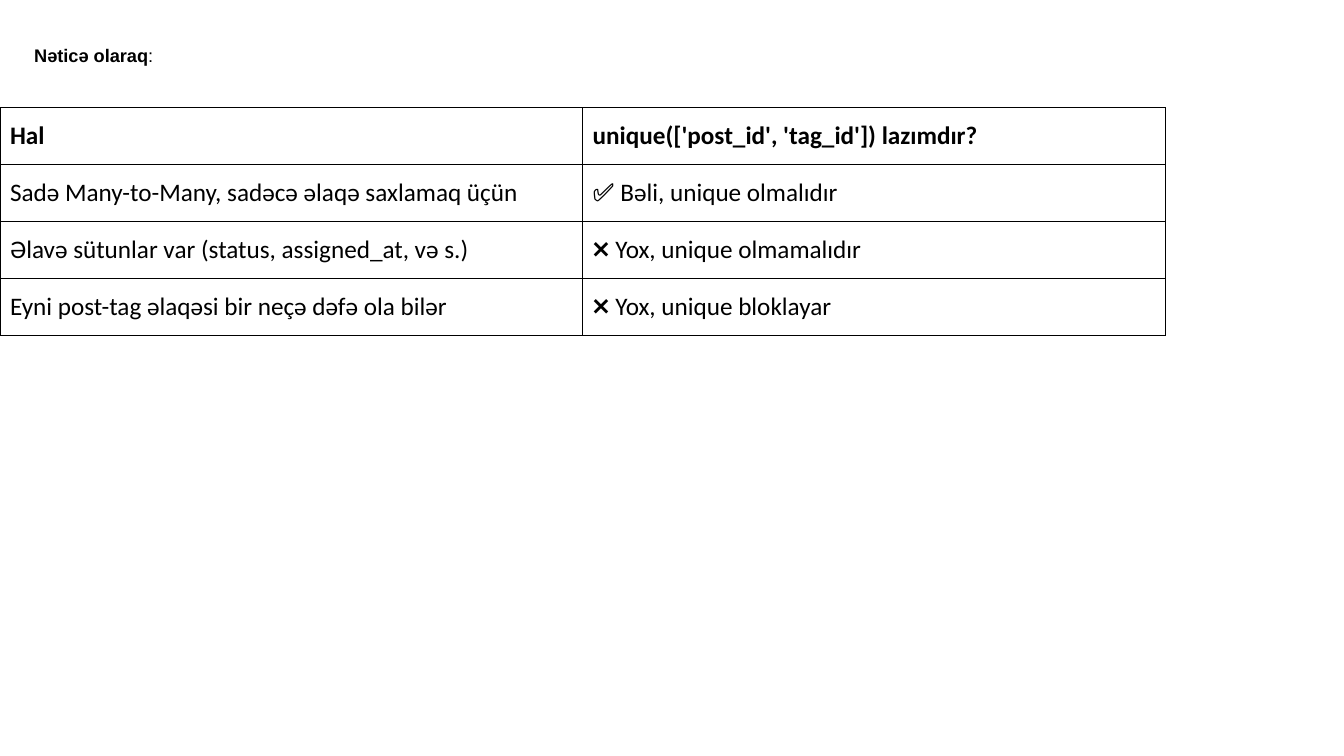
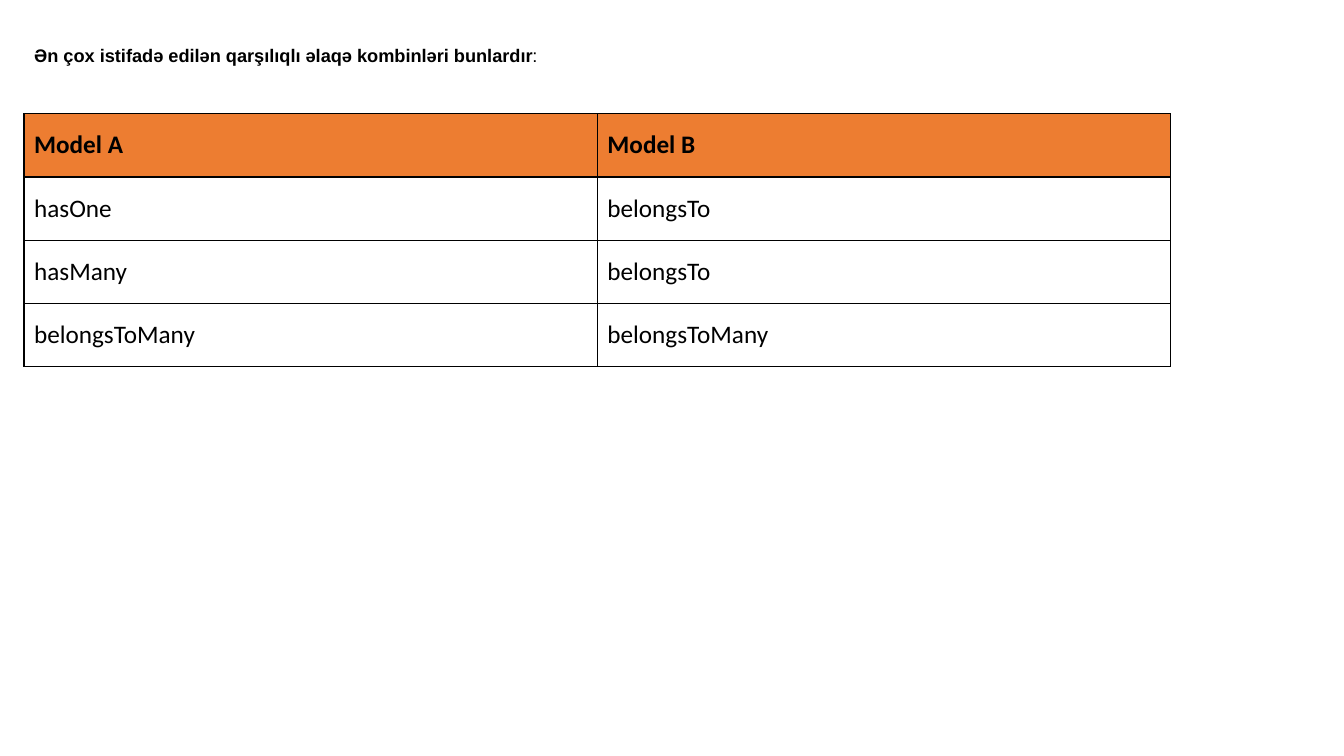
from lxml.etree import SubElement
from pptx import Presentation
from pptx.dml.color import RGBColor
from pptx.enum.text import MSO_ANCHOR, MSO_AUTO_SIZE, PP_ALIGN
from pptx.oxml.ns import qn
from pptx.util import Pt

BLACK = RGBColor(0x00, 0x00, 0x00)
ORANGE = RGBColor(0xED, 0x7D, 0x31)

TITLE_FONT = {"name": "Arial", "size": Pt(13)}
TABLE_FONT = {"name": "Calibri", "size": Pt(18)}
TITLE_FRAME = {
    "word_wrap": True,
    "auto_size": MSO_AUTO_SIZE.NONE,
    "vertical_anchor": MSO_ANCHOR.TOP,
}
TITLE_PARAGRAPH = {"alignment": PP_ALIGN.LEFT, "line_spacing": 1.5}
PLAIN_TABLE = {"first_row": False, "horz_banding": False}

SLIDES = [
    {
        "title": "Nəticə olaraq",
        "title_box": (17.2, 20.2, 926, 98.6),
        "table_box": (0, 77, 832.4, 162.8),
        "header_fill": None,
        "rows": [
            ("Hal", "unique(['post_id', 'tag_id']) lazımdır?"),
            ("Sadə Many-to-Many, sadəcə əlaqə saxlamaq üçün",
             "✅ Bəli, unique olmalıdır"),
            ("Əlavə sütunlar var (status, assigned_at, və s.)",
             "❌ Yox, unique olmamalıdır"),
            ("Eyni post-tag əlaqəsi bir neçə dəfə ola bilər",
             "❌ Yox, unique bloklayar"),
        ],
    },
    {
        "title": "Ən çox istifadə edilən qarşılıqlı əlaqə kombinləri bunlardır",
        "title_box": (17.2, 20.2, 926, 122.4),
        "table_box": (17.2, 81.2, 819, 180.8),
        "header_fill": ORANGE,
        "rows": [
            ("Model A", "Model B"),
            ("hasOne", "belongsTo"),
            ("hasMany", "belongsTo"),
            ("belongsToMany", "belongsToMany"),
        ],
    },
]


def apply_format(target, values):
    for name, value in values.items():
        setattr(target, name, value)


def add_run(paragraph, text, font_values, bold):
    run = paragraph.add_run()
    run.text = text
    apply_format(run.font, {**font_values, "bold": bold})
    run.font.color.rgb = BLACK


def place_title(slide, text, box):
    """Bold heading with a regular colon, set in the title placeholder."""
    title = slide.shapes.title
    title.left, title.top, title.width, title.height = map(Pt, box)
    apply_format(title.text_frame, TITLE_FRAME)
    paragraph = title.text_frame.paragraphs[0]
    apply_format(paragraph, TITLE_PARAGRAPH)
    add_run(paragraph, text, TITLE_FONT, True)
    add_run(paragraph, ":", TITLE_FONT, False)


def add_borders(cell, width=Pt(1)):
    properties = cell._tc.get_or_add_tcPr()
    for side in ("lnL", "lnR", "lnT", "lnB"):
        line = SubElement(properties, qn(f"a:{side}"), w=str(int(width)))
        fill = SubElement(line, qn("a:solidFill"))
        SubElement(fill, qn("a:srgbClr"), val=str(BLACK))


def format_cell(cell, text, fill_color, bold):
    cell.vertical_anchor = MSO_ANCHOR.MIDDLE
    add_borders(cell)
    if fill_color is None:
        cell.fill.background()
    else:
        cell.fill.solid()
        cell.fill.fore_color.rgb = fill_color
    add_run(cell.text_frame.paragraphs[0], text, TABLE_FONT, bold)


def place_table(slide, rows, box, header_fill):
    """Ruled grid with equal rows and columns that fill the box."""
    frame = slide.shapes.add_table(len(rows), len(rows[0]), *map(Pt, box))
    table = frame.table
    apply_format(table, PLAIN_TABLE)
    for row_index, row in enumerate(rows):
        is_header = row_index == 0
        for column_index, text in enumerate(row):
            format_cell(table.cell(row_index, column_index), text,
                        header_fill if is_header else None, is_header)


def add_table_slide(presentation, content):
    title_only = presentation.slide_layouts[5]
    slide = presentation.slides.add_slide(title_only)
    place_title(slide, content["title"], content["title_box"])
    place_table(slide, content["rows"], content["table_box"],
                content["header_fill"])


def main():
    presentation = Presentation()
    presentation.slide_width, presentation.slide_height = Pt(960), Pt(540)
    for content in SLIDES:
        add_table_slide(presentation, content)
    presentation.save("out.pptx")


if __name__ == "__main__":
    main()
